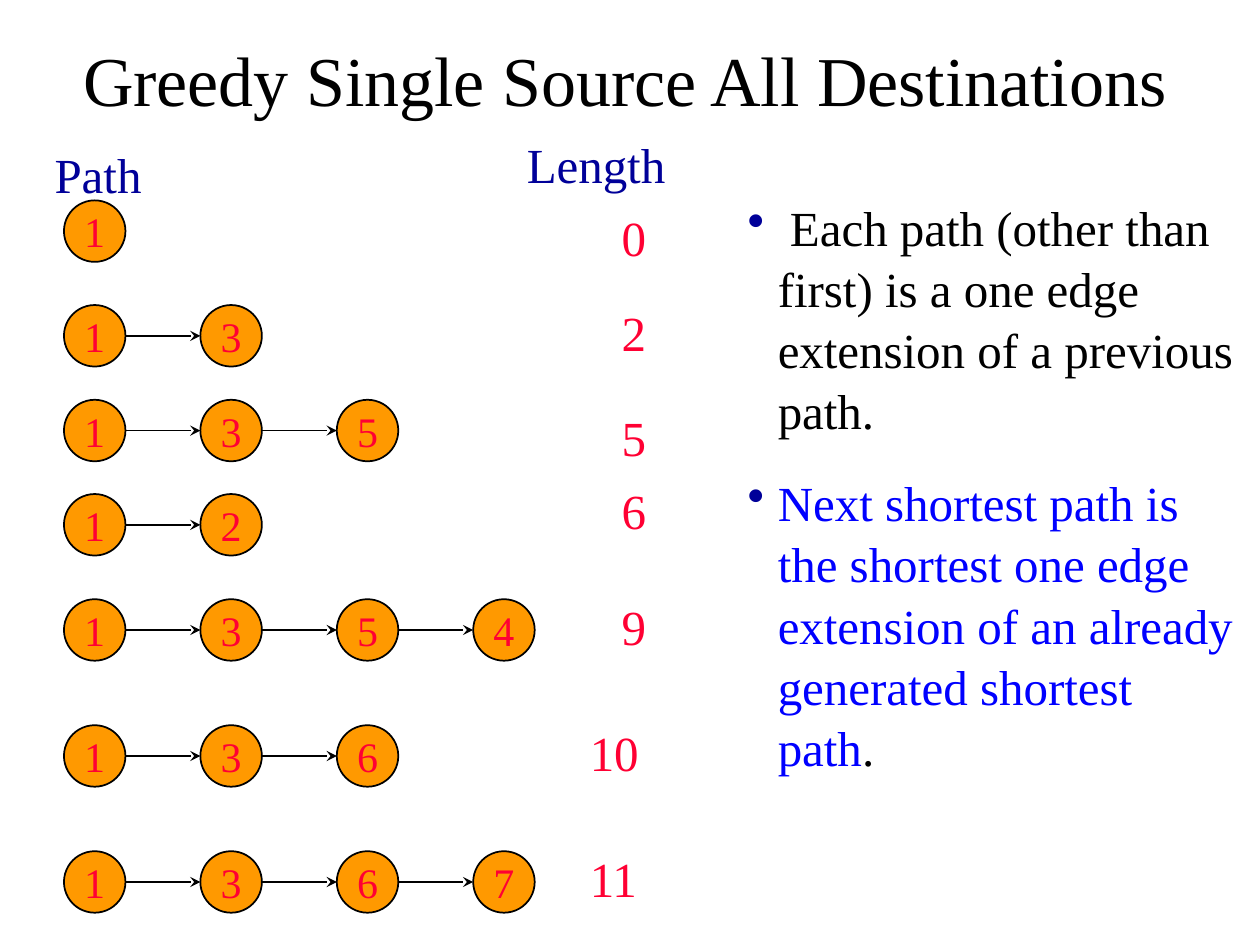
from lxml.etree import SubElement
from pptx import Presentation
from pptx.dml.color import RGBColor
from pptx.enum.shapes import MSO_CONNECTOR, MSO_SHAPE
from pptx.enum.text import MSO_ANCHOR, PP_ALIGN
from pptx.oxml.ns import qn
from pptx.util import Cm, Pt

TITLE = "Greedy Single Source All Destinations"
# nodes on the path, path length, centre of the row, top of the length label (cm)
PATHS = [
    ("1", "0", 4.66, 4.02),
    ("13", "2", 6.77, 5.93),
    ("135", "5", 8.68, 8.04),
    ("12", "6", 10.58, 9.52),
    ("1354", "9", 12.7, 11.85),
    ("136", "10", 15.24, 14.39),
    ("1367", "11", 17.78, 16.93),
]
# text and colour of the runs in each bullet
BULLETS = [
    [(" Each path (other than first) is a one edge extension of a previous path.", "black")],
    [("Next shortest path is the shortest one edge extension of an already "
      "generated shortest path", "blue"), (".", "black")],
]
COLORS = {"black": "000000", "navy": "000099", "blue": "0000FF",
          "red": "FF0033", "orange": "FF9900"}
FONT = "Times New Roman"
NODE_LEFT, NODE_SIZE, NODE_PITCH = 1.29, 1.24, 2.75
LABEL_HEIGHT, LABEL_RIGHT = 1.44, 13.34
LABEL_WIDTHS = {1: 1.06, 2: 1.7}  # by number of digits
LINE_SPACING = 1.04
BULLET_INDENT = Cm(0.61)


def color(name):
    return RGBColor.from_string(COLORS[name])


def format_font(paragraph, size, color_name=None):
    paragraph.font.name = FONT
    paragraph.font.size = Pt(size)
    if color_name:
        paragraph.font.color.rgb = color(color_name)


def add_text_box(slide, left, top, width, height):
    frame = slide.shapes.add_textbox(Cm(left), Cm(top), Cm(width), Cm(height)).text_frame
    frame.word_wrap = True
    return frame


def add_label(slide, text, left, top, width, color_name):
    paragraph = add_text_box(slide, left, top, width, LABEL_HEIGHT).paragraphs[0]
    paragraph.text = text
    paragraph.line_spacing = LINE_SPACING
    format_font(paragraph, 28, color_name)


def add_node(slide, text, left, center):
    node = slide.shapes.add_shape(MSO_SHAPE.OVAL, Cm(left), Cm(center - NODE_SIZE / 2),
                                  Cm(NODE_SIZE), Cm(NODE_SIZE))
    node.shadow.inherit = False
    node.fill.solid()
    node.fill.fore_color.rgb = color("orange")
    node.line.color.rgb = color("black")
    node.line.width = Pt(1)
    frame = node.text_frame
    frame.margin_left = frame.margin_right = frame.margin_top = frame.margin_bottom = 0
    frame.vertical_anchor = MSO_ANCHOR.MIDDLE
    frame.word_wrap = False
    paragraph = frame.paragraphs[0]
    paragraph.text = text
    paragraph.alignment = PP_ALIGN.CENTER
    format_font(paragraph, 24, "red")


def add_arrow(slide, start, end, y):
    arrow = slide.shapes.add_connector(MSO_CONNECTOR.STRAIGHT, Cm(start), Cm(y), Cm(end), Cm(y))
    arrow.line.color.rgb = color("black")
    arrow.line.width = Pt(1)
    SubElement(arrow.line._get_or_add_ln(), qn("a:tailEnd"), type="stealth")
    SubElement(arrow._element.spPr, qn("a:effectLst"))


def add_path(slide, nodes, length, center, label_top):
    for index, name in enumerate(nodes):
        left = NODE_LEFT + index * NODE_PITCH
        add_node(slide, name, left, center)
        if index:
            add_arrow(slide, left - NODE_PITCH + NODE_SIZE, left, center)
    width = LABEL_WIDTHS[len(length)]
    add_label(slide, length, LABEL_RIGHT - width, label_top, width, "red")


def add_bullets(slide):
    frame = add_text_box(slide, 14.82, 3.81, 10.37, 10.37)
    for index, runs in enumerate(BULLETS):
        paragraph = frame.add_paragraph() if index else frame.paragraphs[0]
        paragraph.line_spacing = LINE_SPACING
        if index:
            paragraph.space_before = Pt(17.5)
        properties = paragraph._p.get_or_add_pPr()
        properties.set("marL", str(BULLET_INDENT))
        properties.set("indent", str(-BULLET_INDENT))
        bullet_color = SubElement(properties, qn("a:buClr"))
        SubElement(bullet_color, qn("a:srgbClr"), val=COLORS["navy"])
        SubElement(properties, qn("a:buChar"), char="•")
        format_font(paragraph, 28)
        for text, color_name in runs:
            run = paragraph.add_run()
            run.text = text
            run.font.color.rgb = color(color_name)


def add_title(slide):
    title = slide.shapes.title
    title.left, title.top, title.width, title.height = Cm(0.64), Cm(0), Cm(23.92), Cm(3.18)
    title.text_frame.vertical_anchor = MSO_ANCHOR.MIDDLE
    paragraph = title.text_frame.paragraphs[0]
    paragraph.text = TITLE
    paragraph.alignment = PP_ALIGN.CENTER
    format_font(paragraph, 40, "black")


def main():
    presentation = Presentation()
    presentation.slide_width, presentation.slide_height = Cm(25.4), Cm(19.05)
    slide = presentation.slides.add_slide(presentation.slide_layouts[5])
    add_title(slide)
    add_label(slide, "Path", 0.85, 2.75, 2.33, "navy")
    add_label(slide, "Length", 10.37, 2.54, 3.81, "navy")
    for path_row in PATHS:
        add_path(slide, *path_row)
    add_bullets(slide)
    presentation.save("out.pptx")


if __name__ == "__main__":
    main()
